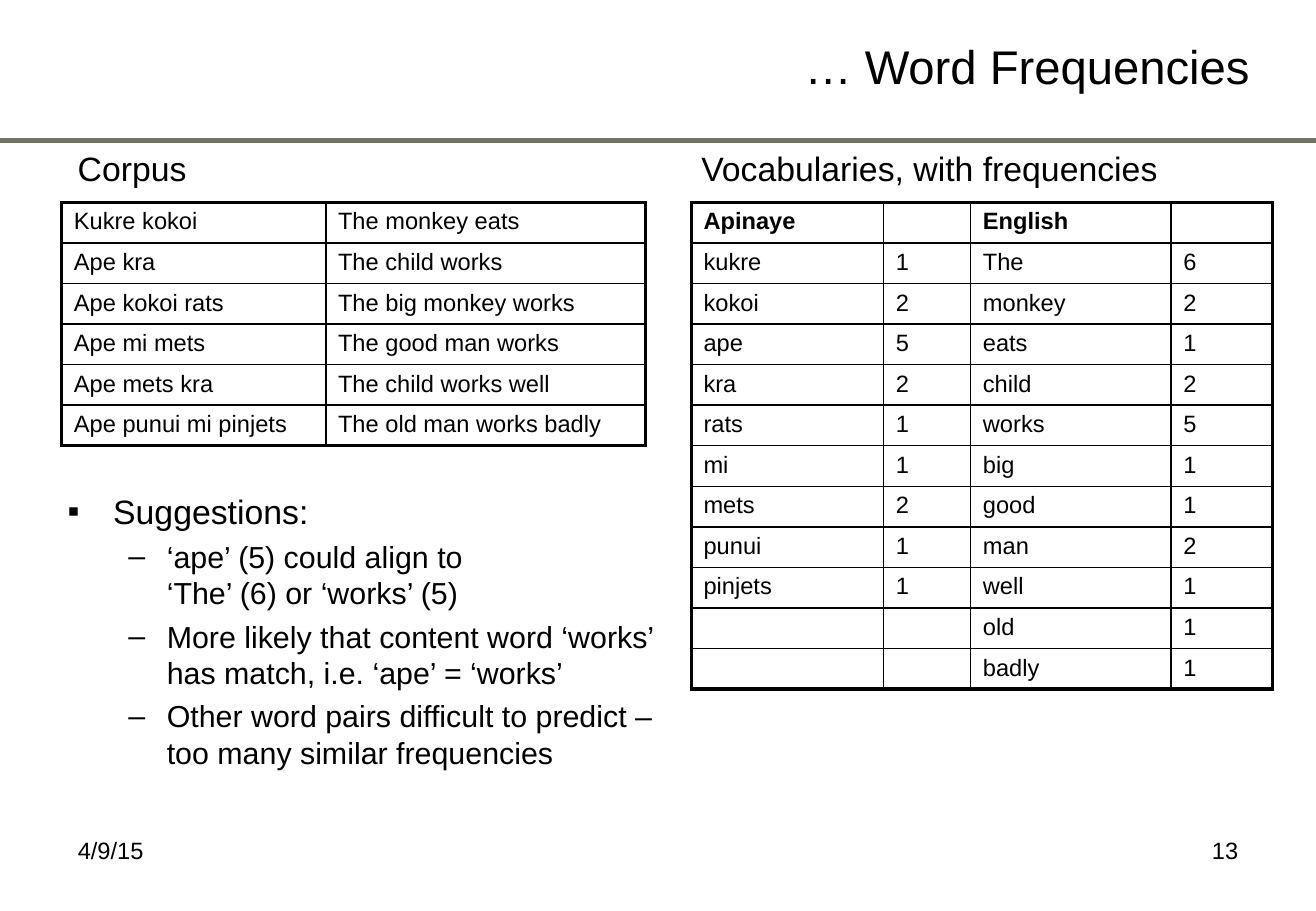
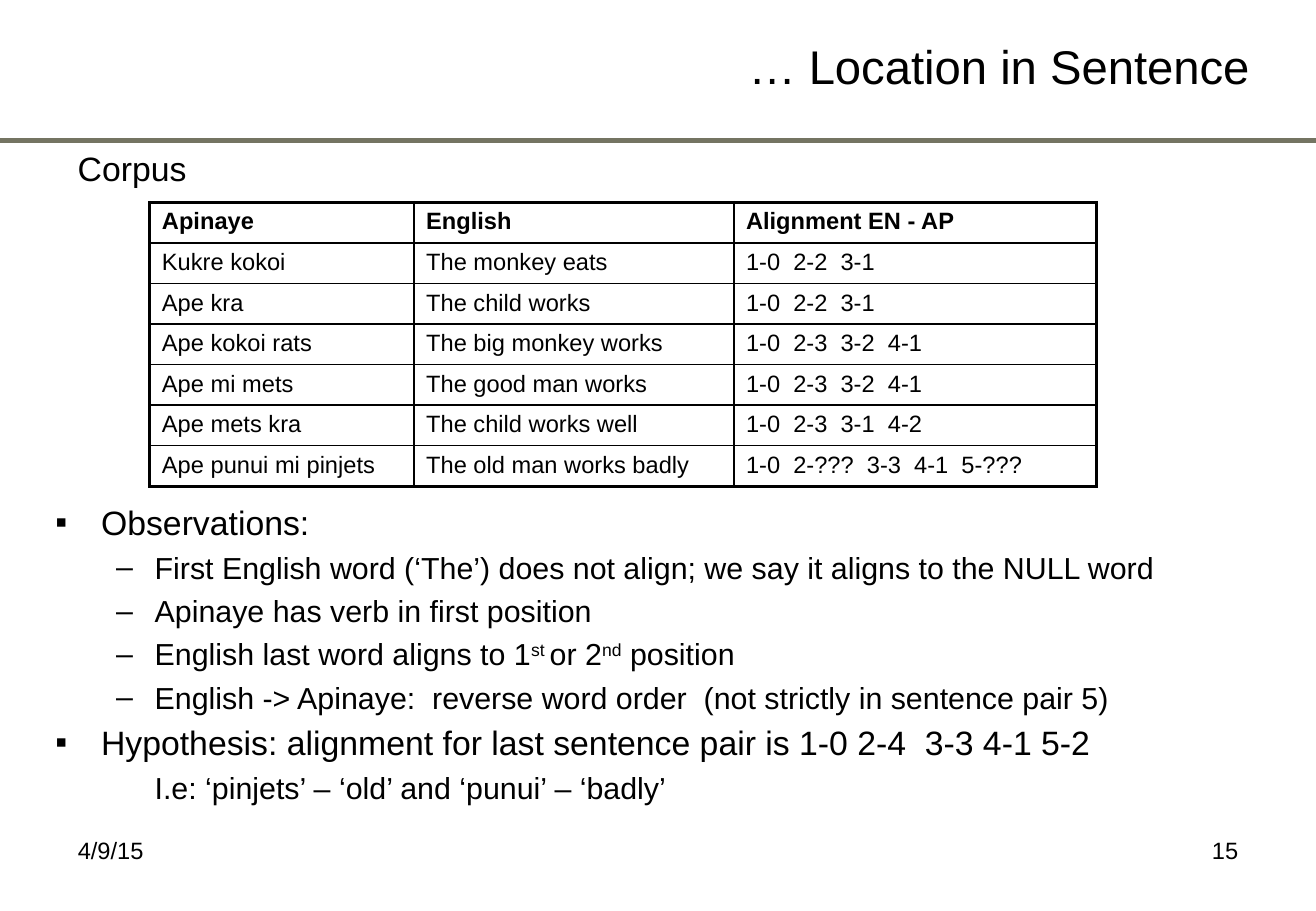
from itertools import zip_longest

from lxml.etree import SubElement
from pptx import Presentation
from pptx.dml.color import RGBColor
from pptx.enum.shapes import MSO_CONNECTOR as Connector
from pptx.enum.text import MSO_ANCHOR as Anchor, PP_ALIGN as Align
from pptx.oxml.ns import qn
from pptx.util import Pt

EMU_PER_PX = 7620  # 120 px to the inch
WIDTH, HEIGHT = 1300, 900


def px(length):
    return length * EMU_PER_PX


def color(hex_string):
    return RGBColor.from_string(hex_string)


class Deck:
    FONT = "Arial"
    INK, RULE = "000000", "747462"
    TITLE, HEADING, BODY, SMALL = 28, 20, 18, 14
    THIN, THICK = 1, 2.25
    ROW = 40
    SPACE_BEFORE = 4
    # kind: (size, left margin, first-line indent, bullet)
    LEVELS = {
        "point": (HEADING, 45, -45, "▪"),
        "dash": (BODY, 98, -38, "–"),
        "plain": (BODY, 98, 0, None),
    }

    def __init__(self):
        self.presentation = Presentation()
        self.presentation.slide_width = px(WIDTH)
        self.presentation.slide_height = px(HEIGHT)
        self.slide = None

    def new_slide(self, title, number):
        """Start a slide with the shared title, rule and footer."""
        self.slide = self.presentation.slides.add_slide(self.presentation.slide_layouts[6])
        self.rule(139)
        self.text(65, 820, 304, 62, "4/9/15", self.SMALL)
        self.text(931, 820, 304, 62, number, self.SMALL, Align.RIGHT)
        self.text(58, 30, 1188, 70, title, self.TITLE, Align.RIGHT, Anchor.MIDDLE)

    def rule(self, y):
        line = self.slide.shapes.add_connector(Connector.STRAIGHT, 0, px(y), px(WIDTH), px(y))
        line.line.color.rgb = color(self.RULE)
        line.line.width = Pt(3)
        SubElement(line._element.spPr, qn("a:effectLst"))

    def run(self, paragraph, text, size, bold=False, superscript=False):
        run = paragraph.add_run()
        run.text = text
        run.font.name = self.FONT
        run.font.size = Pt(size)
        run.font.bold = bold
        run.font.color.rgb = color(self.INK)
        if superscript:
            run._r.get_or_add_rPr().set("baseline", "30000")

    def frame(self, x, y, width, height, anchor=Anchor.TOP):
        shape = self.slide.shapes.add_textbox(px(x), px(y), px(width), px(height))
        shape.text_frame.word_wrap = True
        shape.text_frame.vertical_anchor = anchor
        return shape.text_frame

    def text(self, x, y, width, height, text, size, align=Align.LEFT, anchor=Anchor.TOP):
        paragraph = self.frame(x, y, width, height, anchor).paragraphs[0]
        paragraph.alignment = align
        self.run(paragraph, text, size)

    def heading(self, x, text):
        self.text(x, 140, 600, 60, text, self.HEADING)

    def bullets(self, x, y, width, height, items):
        """Each item is a level and its lines; a line is a string or a list of
        strings in which every second one is superscript."""
        frame = self.frame(x, y, width, height)
        for index, (level, *lines) in enumerate(items):
            size, margin, indent, bullet = self.LEVELS[level]
            paragraph = frame.add_paragraph() if index else frame.paragraphs[0]
            if index:
                paragraph.space_before = Pt(self.SPACE_BEFORE)
            properties = paragraph._p.get_or_add_pPr()
            properties.set("marL", str(px(margin)))
            properties.set("indent", str(px(indent)))
            if bullet:
                SubElement(properties, qn("a:buFont"), typeface=self.FONT)
                SubElement(properties, qn("a:buChar"), char=bullet)
            else:
                SubElement(properties, qn("a:buNone"))
            for line_index, line in enumerate(lines):
                if line_index:
                    paragraph.add_line_break()
                parts = [line] if isinstance(line, str) else line
                for part_index, part in enumerate(parts):
                    self.run(paragraph, part, size, superscript=part_index % 2 == 1)

    def table(self, x, y, columns, rows, header=True):
        """Grid with thin inner lines and a thick outer frame."""
        shape = self.slide.shapes.add_table(
            len(rows), len(columns), px(x), px(y), px(sum(columns)), px(self.ROW * len(rows)))
        table = shape.table
        table.first_row = table.horz_banding = False
        for column, width in zip(table.columns, columns):
            column.width = px(width)
        last_row, last_column = len(rows) - 1, len(columns) - 1
        for i, values in enumerate(rows):
            table.rows[i].height = px(self.ROW)
            for j, value in enumerate(values):
                cell = table.cell(i, j)
                self.borders(cell, L=j == 0, R=j == last_column, T=i == 0, B=i == last_row)
                cell.fill.background()
                paragraph = cell.text_frame.paragraphs[0]
                if value:
                    self.run(paragraph, value, self.SMALL, bold=header and i == 0)
                else:
                    SubElement(paragraph._p, qn("a:endParaRPr"), sz=str(self.SMALL * 100))

    def borders(self, cell, **outer_sides):
        properties = cell._tc.get_or_add_tcPr()
        for side, outer in outer_sides.items():
            width = Pt(self.THICK if outer else self.THIN)
            line = SubElement(properties, qn(f"a:ln{side}"), w=str(width))
            fill = SubElement(line, qn("a:solidFill"))
            SubElement(fill, qn("a:srgbClr"), val=self.INK)


CORPUS = [
    ("Kukre kokoi", "The monkey eats"),
    ("Ape kra", "The child works"),
    ("Ape kokoi rats", "The big monkey works"),
    ("Ape mi mets", "The good man works"),
    ("Ape mets kra", "The child works well"),
    ("Ape punui mi pinjets", "The old man works badly"),
]
CORPUS_COLUMNS = [261, 316]
ALIGNMENTS = [
    "1-0  2-2  3-1",
    "1-0  2-2  3-1",
    "1-0  2-3  3-2  4-1",
    "1-0  2-3  3-2  4-1",
    "1-0  2-3  3-1  4-2",
    "1-0  2-???  3-3  4-1  5-???",
]
APINAYE = [
    ("kukre", "1"), ("kokoi", "2"), ("ape", "5"), ("kra", "2"), ("rats", "1"),
    ("mi", "1"), ("mets", "2"), ("punui", "1"), ("pinjets", "1"),
]
ENGLISH = [
    ("The", "6"), ("monkey", "2"), ("eats", "1"), ("child", "2"), ("works", "5"), ("big", "1"),
    ("good", "1"), ("man", "2"), ("well", "1"), ("old", "1"), ("badly", "1"),
]


def word_frequencies(deck):
    deck.new_slide("… Word Frequencies", "13")
    deck.heading(65, "Corpus")
    deck.heading(681, "Vocabularies, with frequencies")
    pairs = zip_longest(APINAYE, ENGLISH, fillvalue=("", ""))
    vocabulary = [("Apinaye", "", "English", "")] + [left + right for left, right in pairs]
    deck.table(683, 200, [190, 86, 198, 100], vocabulary)
    deck.table(61, 200, CORPUS_COLUMNS, CORPUS, header=False)
    deck.bullets(55, 479, 625, 313, [
        ("point", "Suggestions:"),
        ("dash", "‘ape’ (5) could align to", "‘The’ (6) or ‘works’ (5)"),
        ("dash", "More likely that content word ‘works’", "has match, i.e. ‘ape’ = ‘works’"),
        ("dash", "Other word pairs difficult to predict –", "too many similar frequencies"),
    ])


def location_in_sentence(deck):
    deck.new_slide("… Location in Sentence", "15")
    deck.heading(65, "Corpus")
    deck.bullets(43, 490, 1170, 270, [
        ("point", "Observations:"),
        ("dash", "First English word (‘The’) does not align; we say it aligns to the NULL word"),
        ("dash", "Apinaye has verb in first position"),
        ("dash", ["English last word aligns to 1", "st ", "or 2", "nd", " position"]),
        ("dash", "English -> Apinaye:  reverse word order  (not strictly in sentence pair 5)"),
        ("point", "Hypothesis: alignment for last sentence pair is 1-0 2-4  3-3 4-1 5-2"),
        ("plain", "I.e: ‘pinjets’ – ‘old’ and ‘punui’ – ‘badly’"),
    ])
    aligned = [pair + (alignment,) for pair, alignment in zip(CORPUS, ALIGNMENTS)]
    deck.table(148, 200, CORPUS_COLUMNS + [358],
               [("Apinaye", "English", "Alignment EN - AP")] + aligned)


def main():
    deck = Deck()
    word_frequencies(deck)
    location_in_sentence(deck)
    deck.presentation.save("out.pptx")


if __name__ == "__main__":
    main()
